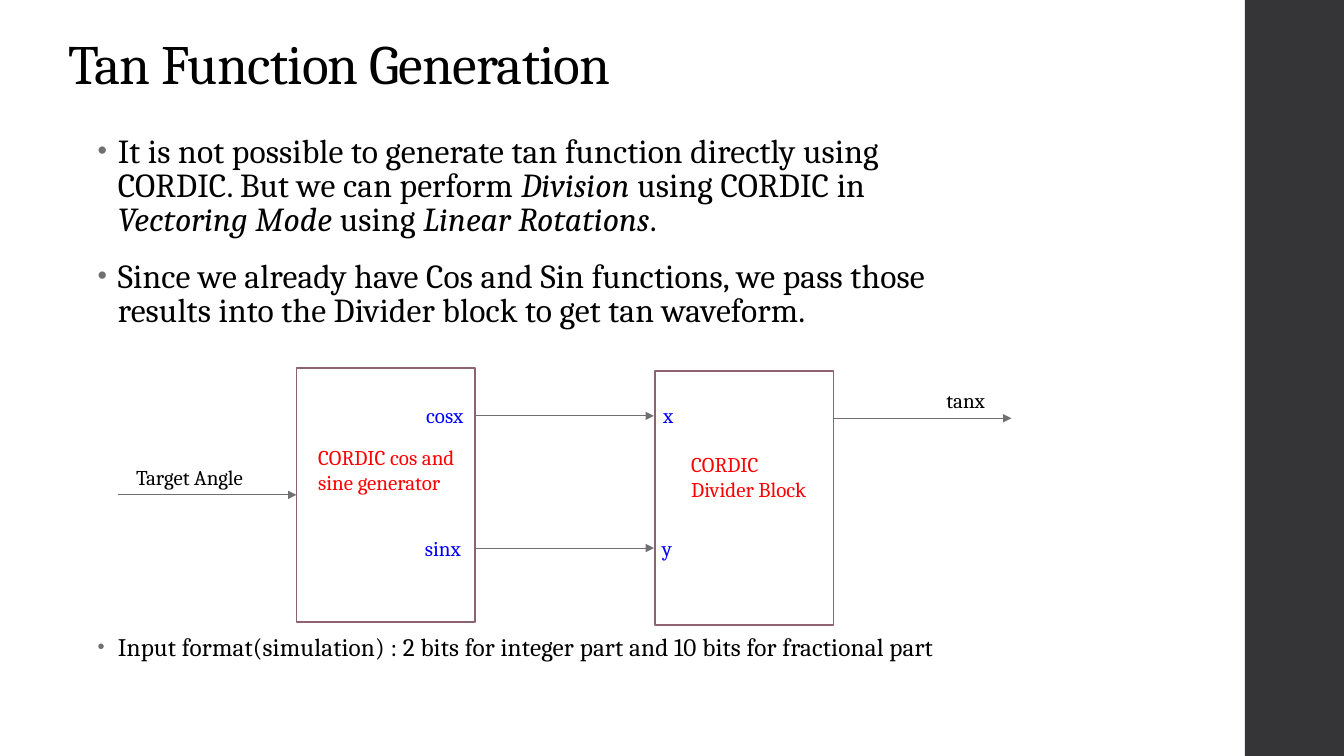
from dataclasses import dataclass

from lxml.etree import SubElement
from pptx import Presentation
from pptx.dml.color import RGBColor as Color
from pptx.enum.shapes import MSO_CONNECTOR as Connector, MSO_SHAPE as Shape
from pptx.enum.text import MSO_ANCHOR as Anchor
from pptx.oxml.ns import qn
from pptx.util import Cm, Pt


@dataclass(frozen=True)
class Theme:
    """Colours and type sizes of the slide."""
    font: str = "Cambria"
    ink: str = "000000"
    paper: str = "FFFFFF"
    bar: str = "353537"
    grey: str = "6F6F74"
    outline: str = "8D6374"
    signal: str = "0000FF"
    block: str = "FF0000"
    title: float = 39.6
    body: float = 24
    note: float = 18
    label: float = 15


class SlideBuilder:
    """Draws styled elements on the current slide."""

    def __init__(self, page, theme):
        self.page = page
        self.theme = theme

    def apply(self, target, values):
        """Set every attribute in a dict of format values."""
        for name, value in values.items():
            setattr(target, name, value)

    def rectangle(self, left, top, width, height, fill, line=None):
        """Add a flat rectangle, outlined if a line colour is given."""
        box = self.page.shapes.add_shape(
            Shape.RECTANGLE, Cm(left), Cm(top), Cm(width), Cm(height))
        box.shadow.inherit = False
        box.fill.solid()
        box.fill.fore_color.rgb = Color.from_string(fill)
        if line:
            box.line.color.rgb = Color.from_string(line)
            box.line.width = Pt(1.1)
        else:
            box.line.fill.background()
        return box

    def text_box(self, left, top, width, height, **frame_format):
        """Add an empty wrapping text box and return its frame."""
        box = self.page.shapes.add_textbox(Cm(left), Cm(top), Cm(width), Cm(height))
        self.apply(box.text_frame, {"word_wrap": True, **frame_format})
        return box.text_frame

    def span(self, para, text, size, color, italic=None, tracking=0):
        """Add one run of text to a paragraph."""
        span = para.add_run()
        span.text = text
        self.apply(span.font, {"name": self.theme.font, "size": Pt(size), "italic": italic})
        span.font.color.rgb = Color.from_string(color)
        if tracking:
            span.font._element.set("spc", str(tracking))

    def title(self, text, *place):
        """Add the slide title."""
        para = self.text_box(*place, vertical_anchor=Anchor.BOTTOM).paragraphs[0]
        para.line_spacing = 0.9
        self.span(para, text, self.theme.title, self.theme.ink, tracking=-50)

    def label(self, text, color, left, top, width=2.97, height=0.89):
        """Add a diagram label."""
        para = self.text_box(left, top, width, height).paragraphs[0]
        self.span(para, text, self.theme.label, color)

    def bullets(self, items, size, *place):
        """Add bulleted paragraphs, each a list of (text, italic) spans."""
        frame = self.text_box(*place)
        for index, spans in enumerate(items):
            para = frame.add_paragraph() if index else frame.paragraphs[0]
            self.apply(para, {"line_spacing": 0.85, "space_after": Pt(2),
                              "space_before": Pt(14 if index else 0)})
            props = para._p.get_or_add_pPr()
            props.set("marL", str(Cm(0.51)))
            props.set("indent", str(-Cm(0.51)))
            bullet_color = SubElement(props, qn("a:buClr"))
            SubElement(bullet_color, qn("a:srgbClr"), val=self.theme.grey)
            SubElement(props, qn("a:buSzPct"), val="80000")
            SubElement(props, qn("a:buFont"), typeface="Arial")
            SubElement(props, qn("a:buChar"), char="•")
            for text, italic in spans:
                self.span(para, text, size, self.theme.ink, italic, tracking=10)

    def arrow(self, left, top, length=4.5):
        """Add a horizontal arrow pointing right."""
        arrow = self.page.shapes.add_connector(
            Connector.STRAIGHT, Cm(left), Cm(top), Cm(left + length), Cm(top))
        arrow.line.color.rgb = Color.from_string(self.theme.grey)
        arrow.line.width = Pt(0.75)
        SubElement(arrow.line._get_or_add_ln(), qn("a:tailEnd"), type="triangle")
        SubElement(arrow._element.spPr, qn("a:effectLst"))
        return arrow


def main():
    """Build and save the slide."""
    deck = Presentation()
    deck.slide_width, deck.slide_height = Cm(33.87), Cm(19.05)
    theme = Theme()
    slide = SlideBuilder(deck.slides.add_slide(deck.slide_layouts[6]), theme)

    slide.rectangle(31.37, 0, 2.5, 19.05, theme.bar)
    slide.title("Tan Function Generation", 1.47, 1.19, 30, 1.37)
    slide.bullets([
        [("It is not possible to generate tan function directly using CORDIC. "
          "But we can perform ", False), ("Division", True),
         (" using CORDIC in ", False), ("Vectoring Mode ", True),
         ("using ", False), ("Linear Rotations", True), (".", False)],
        [("Since we already have Cos and Sin functions, we pass those results "
          "into the Divider block to get tan waveform.", False)],
    ], theme.body, 2.21, 3.3, 23.11, 5.2)
    slide.bullets([
        [("Input format(simulation) : 2 bits for integer part and 10 bits "
          "for fractional part", False)],
    ], theme.note, 2.21, 15.9, 23.11, 1.2)

    generator, divider = [
        slide.rectangle(left, top, 4.5, 6.4, theme.paper, theme.outline)
        for left, top in ((7.47, 9.27), (16.51, 9.35))]
    slide.arrow(2.97, 12.47).end_connect(generator, 1)
    for left, top in ((11.98, 10.48), (11.98, 13.81), (20.99, 10.54)):
        slide.arrow(left, top)

    slide.label("Target Angle", theme.ink, 3.18, 11.58, 3.84)
    slide.label("tanx", theme.ink, 23.6, 9.65)
    for text, left, top in (("cosx", 10.49, 10.03), ("sinx", 10.46, 13.36),
                            ("x", 16.46, 10.01), ("y", 16.43, 13.36)):
        slide.label(text, theme.signal, left, top)
    slide.label("CORDIC cos and sine generator", theme.block, 7.77, 11.07, 4.29, 2.18)
    slide.label("CORDIC Divider Block", theme.block, 17.17, 11.25, 3.51, 2.18)

    deck.save("out.pptx")


if __name__ == "__main__":
    main()
